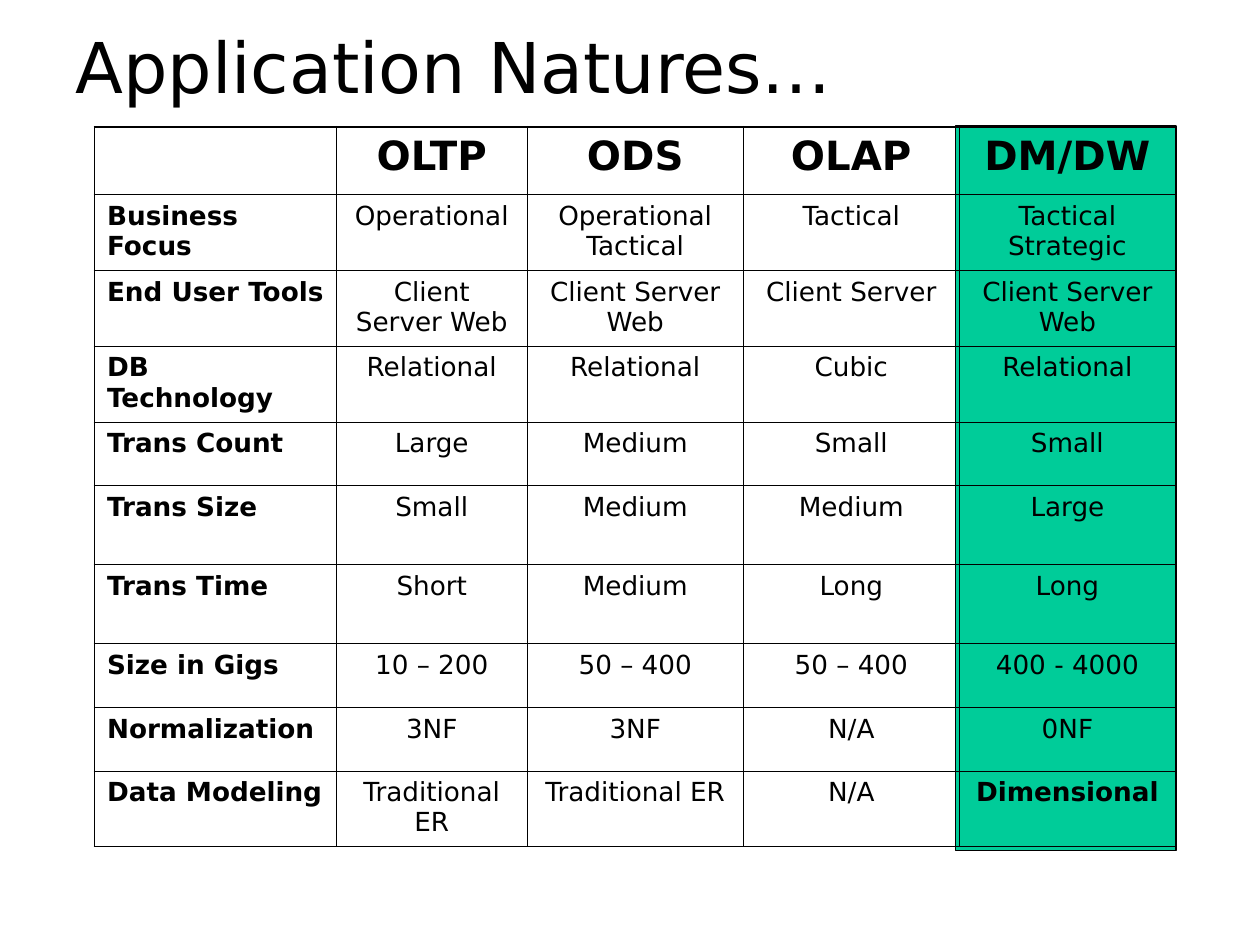
from dataclasses import dataclass

from lxml.etree import SubElement
from pptx import Presentation
from pptx.dml.color import RGBColor
from pptx.enum.shapes import MSO_SHAPE as Shape
from pptx.enum.text import MSO_ANCHOR as Anchor, MSO_AUTO_SIZE as AutoSize, PP_ALIGN as Align
from pptx.oxml.ns import qn
from pptx.util import Pt

BLACK = RGBColor(0x00, 0x00, 0x00)
GREEN = RGBColor(0x00, 0xCC, 0x99)
FONT = "DejaVu Sans"
INNER, OUTER = 0.45, 1.08  # border widths

COL_WIDTHS = [138.2, 109.1, 123.5, 123.5, 123.5]
HEADINGS = ["", "OLTP", "ODS", "OLAP", "DM/DW"]


@dataclass
class Row:
    height: float
    cells: list[str]
    size: float = 15


ROWS = [
    Row(38.9, HEADINGS, 23),
    Row(43.3, ["Business Focus", "Operational", "Operational Tactical", "Tactical", "Tactical Strategic"]),
    Row(43.3, ["End User Tools", "Client Server Web", "Client Server Web", "Client Server", "Client Server Web"]),
    Row(43.3, ["DB Technology", "Relational", "Relational", "Cubic", "Relational"]),
    Row(36.4, ["Trans Count", "Large", "Medium", "Small", "Small"]),
    Row(45.2, ["Trans Size", "Small", "Medium", "Medium", "Large"]),
    Row(45.2, ["Trans Time", "Short", "Medium", "Long", "Long"]),
    Row(36.4, ["Size in Gigs", "10 – 200", "50 – 400", "50 – 400", "400 - 4000"]),
    Row(36.2, ["Normalization", "3NF", "3NF", "N/A", "0NF"]),
    Row(43.3, ["Data Modeling", "Traditional ER", "Traditional ER", "N/A", "Dimensional"]),
]


def style_paragraph(p, size: float, bold: bool, align: Align) -> None:
    p.alignment = align
    p.font.name = FONT
    p.font.size = Pt(size)
    p.font.bold = bold
    p.font.color.rgb = BLACK


def set_borders(cell, widths: dict[str, float]) -> None:
    """Draw the cell's edges; the keys follow schema order: L, R, T, B."""
    tc_pr = cell._tc.get_or_add_tcPr()
    for i, (side, width) in enumerate(widths.items()):
        ln = SubElement(tc_pr, qn(f"a:ln{side}"), w=str(Pt(width)))
        fill = SubElement(ln, qn("a:solidFill"))
        SubElement(fill, qn("a:srgbClr"), val=str(BLACK))
        tc_pr.insert(i, ln)


def add_title(s, text: str) -> None:
    sp = s.shapes.title
    sp.left, sp.top, sp.width, sp.height = Pt(36), Pt(12.2), Pt(456), Pt(50.4)
    tf = sp.text_frame
    tf.text = text
    tf.auto_size = AutoSize.NONE
    tf.vertical_anchor = Anchor.MIDDLE
    style_paragraph(tf.paragraphs[0], 40, False, Align.LEFT)


def add_highlight(s, left: float, top: float, width: float, height: float) -> None:
    sp = s.shapes.add_shape(Shape.RECTANGLE, Pt(left), Pt(top), Pt(width), Pt(height))
    sp.shadow.inherit = False
    sp.fill.solid()
    sp.fill.fore_color.rgb = GREEN
    sp.line.color.rgb = BLACK
    sp.line.width = Pt(0.75)


def add_comparison(s, left: float, top: float) -> None:
    n_rows, n_cols = len(ROWS), len(COL_WIDTHS)
    width, height = sum(COL_WIDTHS), sum(row.height for row in ROWS)
    table = s.shapes.add_table(n_rows, n_cols, Pt(left), Pt(top), Pt(width), Pt(height)).table
    table.first_row = table.horz_banding = False
    for column, col_width in zip(table.columns, COL_WIDTHS):
        column.width = Pt(col_width)

    for r, row in enumerate(ROWS):
        table.rows[r].height = Pt(row.height)
        for c, text in enumerate(row.cells):
            cell = table.cell(r, c)
            cell.text = text
            cell.fill.background()
            bold = r == 0 or c == 0 or text == "Dimensional"
            align = Align.LEFT if c == 0 else Align.CENTER
            style_paragraph(cell.text_frame.paragraphs[0], row.size, bold, align)
            set_borders(cell, {
                "L": OUTER if c == 0 else INNER,
                "R": OUTER if c == n_cols - 1 else INNER,
                "T": OUTER if r == 0 else INNER,
                "B": OUTER if r == n_rows - 1 else INNER,
            })


def main() -> None:
    prs = Presentation()
    prs.slide_width, prs.slide_height = Pt(720), Pt(540)
    s = prs.slides.add_slide(prs.slide_layouts[5])  # title only

    add_title(s, "Application Natures…")
    # Green panel behind the last column
    add_highlight(s, 546, 72, 126, 414)
    add_comparison(s, 54, 72.4)

    prs.save("out.pptx")


if __name__ == "__main__":
    main()
